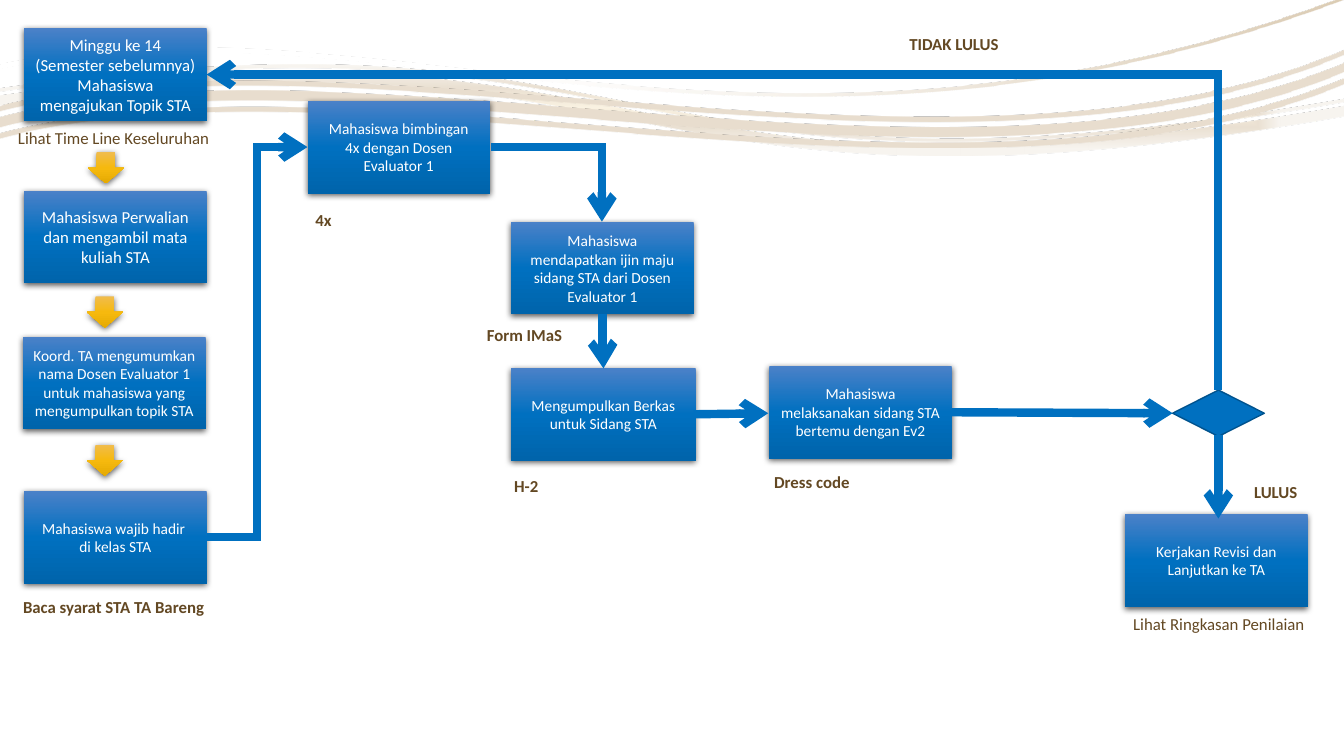
"""Build the flowchart slide for the STA course procedure."""
from math import cos, radians, sin
from lxml.etree import SubElement
from pptx import Presentation
from pptx.dml.color import RGBColor
from pptx.enum.shapes import MSO_CONNECTOR, MSO_SHAPE
from pptx.enum.text import MSO_ANCHOR, MSO_AUTO_SIZE, PP_ALIGN
from pptx.oxml.ns import qn
from pptx.util import Inches, Pt

WHITE = RGBColor(0xFF, 0xFF, 0xFF)
BLUE = RGBColor(0x00, 0x70, 0xC0)
DARK_BLUE = RGBColor(0x00, 0x53, 0x8E)
BROWN = RGBColor(0x63, 0x48, 0x23)
BLACK = RGBColor(0x00, 0x00, 0x00)
CREAM = RGBColor(0xF7, 0xF4, 0xEF)
SAND = RGBColor(0xE8, 0xDD, 0xCE)
TAN = RGBColor(0xCB, 0xB4, 0x91)
BOX_STOPS = [(0, RGBColor(0x4B, 0x81, 0xC8), 100), (50, BLUE, 100),
             (100, RGBColor(0x00, 0x64, 0xAB), 100)]
GOLD_STOPS = [(0, RGBColor(0xF0, 0xBC, 0x4E), 100), (50, RGBColor(0xF6, 0xB9, 0x0E), 100),
              (100, RGBColor(0xE5, 0xAA, 0x02), 100)]
PALE_STOPS = [(0, RGBColor(0xFA, 0xF1, 0xDF), 90), (18, RGBColor(0xEA, 0xE0, 0xD2), 100),
              (37, CREAM, 100), (100, CREAM, 100)]
TAN_STOPS = [(36, WHITE, 30), (100, TAN, 100)]
SAND_STOPS = [(36, WHITE, 47), (100, SAND, 100)]
TILT = 3.5


def paint(shape, stops, angle=90, focus=None, shadow=True):
    """Give a shape a gradient, no outline and an optional soft shadow."""
    shape.fill.background()
    shape.line.fill.background()
    shape.shadow.inherit = False
    properties = shape._element.spPr
    gradient = SubElement(properties, qn("a:gradFill"), rotWithShape="1")
    properties.replace(properties.find(qn("a:noFill")), gradient)
    stop_list = SubElement(gradient, qn("a:gsLst"))
    for position, color, opacity in stops:
        stop = SubElement(stop_list, qn("a:gs"), pos=str(position * 1000))
        tint = SubElement(stop, qn("a:srgbClr"), val=str(color))
        if opacity < 100:
            SubElement(tint, qn("a:alpha"), val=str(opacity * 1000))
    if focus:
        kind, sides = focus
        center = SubElement(gradient, qn("a:path"), path=kind)
        SubElement(center, qn("a:fillToRect"),
                   {side: str(share * 1000) for side, share in zip("ltrb", sides)})
    else:
        SubElement(gradient, qn("a:lin"), ang=str(angle * 60000), scaled="0")
    if shadow:
        outer = SubElement(properties.find(qn("a:effectLst")), qn("a:outerShdw"),
                           blurRad=str(Pt(4.5)), dist=str(Pt(1.5)), dir="5400000",
                           algn="ctr", rotWithShape="0")
        tint = SubElement(outer, qn("a:srgbClr"), val=str(BLACK))
        SubElement(tint, qn("a:alpha"), val="63000")


def write(paragraph, text, size, color, bold=False):
    """Add one formatted run to a paragraph."""
    run = paragraph.add_run()
    run.text = text
    run.font.name = "Calibri"
    run.font.size = Pt(size)
    run.font.bold = bold
    run.font.color.rgb = color


presentation = Presentation()
presentation.slide_width = Inches(13.33)
presentation.slide_height = Inches(7.5)
slide = presentation.slides.add_slide(presentation.slide_layouts[6])
shapes = slide.shapes

pale_ribbons = [
    [[(3.06, 0.72), (6.7, 0.74), (7.38, 2.09), (13.33, 1.05)],
     [(13.33, 1.15), (6.02, 2.43), (6.67, 0.1), (0, 1.05)],
     [(0, 0.95), (1.24, 0.78), (2.22, 0.71), (3.06, 0.72)]],
    [[(3.06, 0.64), (6.7, 0.67), (7.38, 2.02), (13.33, 0.98)],
     [(13.33, 1.01), (6.02, 2.29), (6.67, -0.04), (0, 0.91)],
     [(0, 0.88), (1.24, 0.7), (2.22, 0.64), (3.06, 0.64)]],
]
tan_ribbons = [
    [[(13.33, 0), (7.54, 2.15), (3.73, -0.1), (0, 0.68)],
     [(0, 0.64), (3.73, -0.14), (7.54, 2.11), (13.33, -0.03)]],
]
sand_ribbons = [
    [[(13.33, 0.83), (9.55, 2.41), (3.49, 0.43), (0, 1.37)],
     [(0, 1.32), (3.49, 0.38), (9.55, 2.35), (13.33, 0.77)]],
    [[(13.33, 0.71), (9.55, 2.3), (3.49, 0.32), (0, 1.26)],
     [(0, 1.16), (3.49, 0.22), (9.55, 2.2), (13.33, 0.62)]],
    [[(13.33, 0.54), (9.58, 2.16), (3.51, 0.19), (0, 1.1)],
     [(0, 1.05), (3.51, 0.14), (9.58, 2.11), (13.33, 0.49)]],
]
waves = [
    ((0.01, 0.39, 13.31, 1.35), pale_ribbons, PALE_STOPS, ("shape", (50, 50, 50, 50))),
    ((0.03, 0.15, 13.35, 1.71), tan_ribbons, TAN_STOPS, None),
    ((-0.01, 0.51, 13.36, 1.15), sand_ribbons, SAND_STOPS, ("rect", (100, 100, 0, 0))),
]
for (left, top, width, height), ribbons, stops, focus in waves:
    middle_x, middle_y = left + width / 2, top + height / 2
    cosine, sine = cos(radians(TILT)), sin(radians(TILT))
    builder = None
    for ribbon in ribbons:
        points = [(Inches(middle_x + (x - middle_x) * cosine - (y - middle_y) * sine),
                   Inches(middle_y + (x - middle_x) * sine + (y - middle_y) * cosine))
                  for curve in ribbon for x, y in curve]
        if builder is None:
            builder = shapes.build_freeform(*points[0])
        else:
            builder.move_to(*points[0])
        builder.add_line_segments(points[1:], close=True)
    wave = builder.convert_to_shape()
    outline = next(wave._element.iter(qn("a:path")))
    shift_x, shift_y = wave.left - Inches(left), wave.top - Inches(top)
    for point in outline.iter(qn("a:pt")):
        point.set("x", str(int(point.get("x")) + shift_x))
        point.set("y", str(int(point.get("y")) + shift_y))
    outline.set("w", str(Inches(width)))
    outline.set("h", str(Inches(height)))
    wave.left, wave.top, wave.width, wave.height = map(Inches, (left, top, width, height))
    wave.rotation = 360 - TILT
    corners = [node for node in outline if node.tag != qn("a:close")]
    for start in range(0, len(corners), 4):
        bend = SubElement(outline, qn("a:cubicBezTo"))
        corners[start].addnext(bend)
        for corner in corners[start + 1:start + 4]:
            bend.append(corner[0])
            outline.remove(corner)
    paint(wave, stops, angle=45, focus=focus, shadow=False)

boxes = [
    (0.24, 0.28, 1.81, 12, ["Minggu ke 14 (Semester sebelumnya) Mahasiswa mengajukan Topik STA"]),
    (0.24, 1.89, 1.81, 12, ["Mahasiswa Perwalian dan mengambil mata kuliah STA"]),
    (0.23, 3.34, 1.81, 11, ["Koord. TA mengumumkan nama Dosen Evaluator 1 untuk mahasiswa yang "
                            "mengumpulkan topik STA"]),
    (3.05, 1, 1.81, 11, ["Mahasiswa bimbingan", "4x dengan Dosen Evaluator 1"]),
    (0.24, 4.87, 1.81, 11, ["Mahasiswa wajib hadir ", "di kelas STA"]),
    (5.07, 2.2, 1.81, 11, ["Mahasiswa\nmendapatkan ijin maju sidang STA dari Dosen Evaluator 1"]),
    (7.63, 3.63, 1.81, 11, ["Mahasiswa\nmelaksanakan sidang STA bertemu dengan Ev2"]),
    (11.16, 5.1, 1.81, 11, ["Kerjakan Revisi dan Lanjutkan ke TA"]),
    (5.07, 3.65, 1.83, 11, ["Mengumpulkan Berkas untuk Sidang STA"]),
]
for left, top, width, size, texts in boxes:
    box = shapes.add_shape(MSO_SHAPE.RECTANGLE, Inches(left), Inches(top),
                           Inches(width), Inches(0.92))
    paint(box, BOX_STOPS)
    frame = box.text_frame
    frame.word_wrap = True
    frame.vertical_anchor = MSO_ANCHOR.MIDDLE
    for index, text in enumerate(texts):
        paragraph = frame.add_paragraph() if index else frame.paragraphs[0]
        paragraph.alignment = PP_ALIGN.CENTER
        for number, line in enumerate(text.split("\n")):
            if number:
                paragraph.add_line_break()
            write(paragraph, line, size, WHITE)

for left, top in ((0.87, 1.51), (0.86, 2.94), (0.86, 4.41)):
    arrow = shapes.add_shape(MSO_SHAPE.DOWN_ARROW, Inches(left), Inches(top),
                             Inches(0.36), Inches(0.31))
    paint(arrow, GOLD_STOPS)

decision = shapes.add_shape(MSO_SHAPE.FLOWCHART_DECISION, Inches(11.63), Inches(3.87),
                            Inches(0.91), Inches(0.46))
decision.shadow.inherit = False
decision.fill.solid()
decision.fill.fore_color.rgb = BLUE
decision.line.color.rgb = DARK_BLUE
decision.line.width = Pt(1)

connectors = [
    ("bentConnector3", 2.05, 5.33, 3.05, 1.46, 0),
    ("bentConnector2", 4.87, 1.46, 5.97, 2.2, 0),
    ("bentConnector3", 6.25, 3.38, 5.71, 3.39, 270),
    ("bentConnector3", 12.5, 4.73, 11.67, 4.73, 270),
    ("line", 9.44, 4.09, 11.63, 4.1, 0),
    ("bentConnector2", 5.5, 7.32, 8.63, -2.71, 270),
    ("line", 6.88, 4.11, 7.62, 4.1, 0),
]
for preset, *ends, rotation in connectors:
    kind = MSO_CONNECTOR.STRAIGHT if preset == "line" else MSO_CONNECTOR.ELBOW
    connector = shapes.add_connector(kind, *map(Inches, ends))
    connector.line.color.rgb = BLUE
    connector.line.width = Pt(6)
    properties = connector._element.spPr
    properties.find(qn("a:prstGeom")).set("prst", preset)
    if rotation:
        properties.find(qn("a:xfrm")).set("rot", str(rotation * 60000))
    stroke = properties.find(qn("a:ln"))
    SubElement(stroke, qn("a:miter"), lim="800000")
    SubElement(stroke, qn("a:tailEnd"), type="arrow")
    SubElement(properties, qn("a:effectLst"))

labels = [
    (0.08, 1.22, 2.12, "Lihat Time Line Keseluruhan", False),
    (12.34, 4.73, 0.64, "LULUS", True),
    (8.92, 0.29, 1.1, "TIDAK LULUS", True),
    (11.14, 6.04, 1.92, "Lihat Ringkasan Penilaian", False),
    (7.58, 4.63, 0.96, "Dress code", True),
    (5, 4.67, 0.45, "H-2", True),
    (3.03, 2.03, 0.36, "4x", True),
    (0.13, 5.87, 2.02, "Baca syarat STA TA Bareng", True),
    (4.73, 3.17, 1.22, "Form IMaS", True),
]
for left, top, width, text, bold in labels:
    label = shapes.add_textbox(Inches(left), Inches(top), Inches(width), Inches(0.3))
    label.text_frame.word_wrap = text == "Form IMaS"
    label.text_frame.auto_size = MSO_AUTO_SIZE.SHAPE_TO_FIT_TEXT
    write(label.text_frame.paragraphs[0], text, 12, BROWN, bold)

presentation.save("out.pptx")
